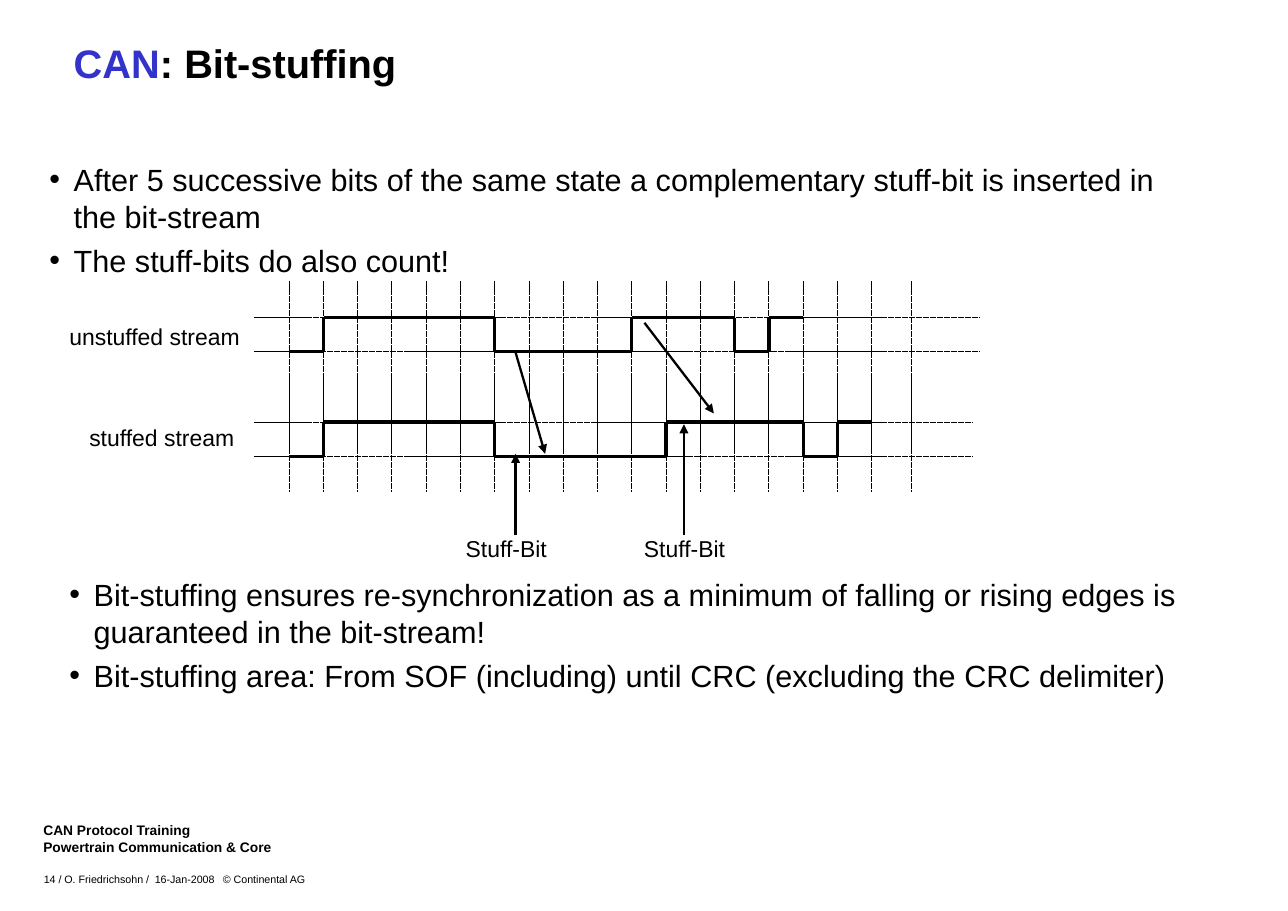
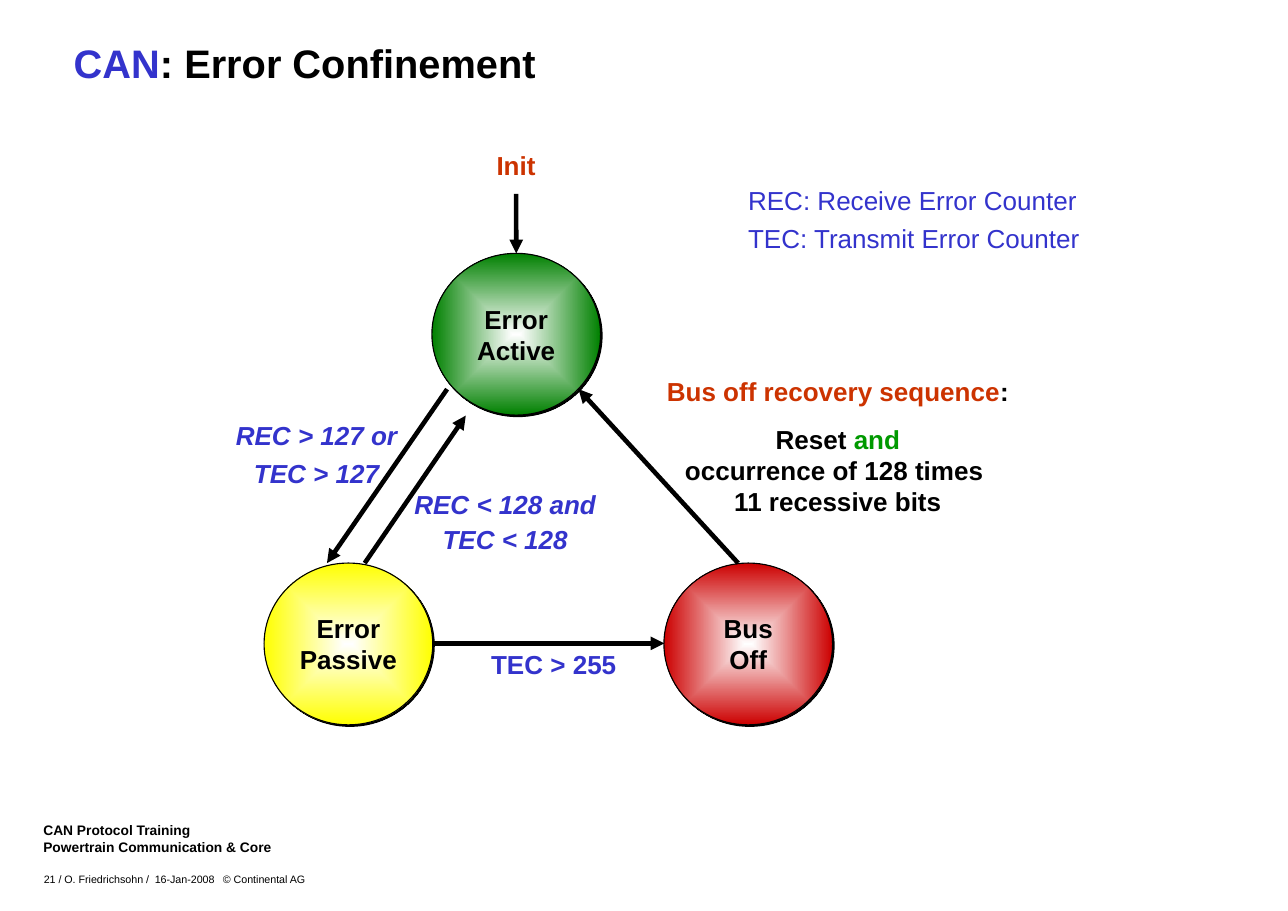
from itertools import groupby

from lxml import etree
from pptx import Presentation
from pptx.dml.color import RGBColor
from pptx.enum.dml import MSO_LINE
from pptx.enum.shapes import MSO_CONNECTOR, MSO_SHAPE
from pptx.enum.text import MSO_ANCHOR, PP_ALIGN
from pptx.oxml import parse_xml
from pptx.oxml.ns import nsdecls, qn
from pptx.util import Cm, Pt

BLACK = RGBColor(0x00, 0x00, 0x00)
BLUE = RGBColor(0x33, 0x33, 0xCC)
ORANGE = RGBColor(0xCC, 0x33, 0x00)
LEAF = RGBColor(0x00, 0x99, 0x00)
GREEN = RGBColor(0x00, 0x80, 0x00)
YELLOW = RGBColor(0xFF, 0xFF, 0x00)
RED = RGBColor(0xCC, 0x00, 0x00)
FONT = "Arial"
LEFT, CENTER = PP_ALIGN.LEFT, PP_ALIGN.CENTER
TOP, MIDDLE, BOTTOM = MSO_ANCHOR.TOP, MSO_ANCHOR.MIDDLE, MSO_ANCHOR.BOTTOM
STRAIGHT, OVAL, DOTS = MSO_CONNECTOR.STRAIGHT, MSO_SHAPE.OVAL, MSO_LINE.ROUND_DOT


def write(slide, at, paras, shape=None, size=17, color=BLACK, bold=False,
          italic=False, align=LEFT, anchor=TOP, pad=0,
          gap=0, lead=None, bullet=False, tabs=()):
    """Write paragraphs, each a string or a list of (text, colour) runs."""
    if shape is None:
        shape = slide.shapes.add_textbox(*[Cm(n) for n in at])
    frame = shape.text_frame
    frame.word_wrap = True
    frame.vertical_anchor = anchor
    frame.margin_left = frame.margin_right = 0
    frame.margin_top = frame.margin_bottom = Cm(pad)
    for i, para in enumerate(paras):
        p = frame.paragraphs[0] if i == 0 else frame.add_paragraph()
        props = p._p.get_or_add_pPr()
        if bullet:
            props.set("marL", str(Cm(0.56)))
            props.set("indent", str(-Cm(0.56)))
            etree.SubElement(props, qn("a:buFont")).set("typeface", FONT)
            etree.SubElement(props, qn("a:buChar")).set("char", "•")
        if tabs:
            stops = etree.SubElement(props, qn("a:tabLst"))
            for stop in tabs:
                etree.SubElement(stops, qn("a:tab"), pos=str(Cm(stop)), algn="l")
        p.alignment = align
        if lead:
            p.line_spacing = lead
        if i and gap:
            p.space_before = Pt(gap)
        for words, tint in [(para, color)] if isinstance(para, str) else para:
            for k, part in enumerate(words.split("\n")):
                if k:
                    p.add_line_break()
                if not part:
                    continue
                run = p.add_run()
                run.text = part
                font = run.font
                font.name, font.size = FONT, Pt(size)
                font.bold, font.italic = bold, italic
                font.color.rgb = tint


def rule(slide, x1, y1, x2, y2, width, dash=None, arrow=False):
    """Draw a straight black line, with an arrowhead at its end if asked."""
    line = slide.shapes.add_connector(STRAIGHT, Cm(x1), Cm(y1), Cm(x2), Cm(y2))
    line.line.color.rgb = BLACK
    if dash:
        line.line.dash_style = dash
    props = line._element.spPr
    stroke = props.find(qn("a:ln"))
    # A hairline needs its zero width written out
    stroke.set("w", str(Pt(width)))
    if arrow:
        etree.SubElement(stroke, qn("a:tailEnd"), type="triangle")
    etree.SubElement(props, qn("a:effectLst"))
    return line


deck = Presentation()
deck.slide_width, deck.slide_height = Cm(29.7), Cm(21)

# Title and footer of each slide
slides = []
for topic, page in [("Bit-stuffing", 14), ("Error Confinement", 21)]:
    slide = deck.slides.add_slide(deck.slide_layouts[6])
    slides.append(slide)
    write(slide, (1.7, 0.78, 26.64, 1.22), [[("CAN", BLUE), (": " + topic, BLACK)]],
          size=26, bold=True, anchor=BOTTOM)
    write(slide, (1, 18.9, 12, 0.81),
          ["CAN Protocol Training", "Powertrain Communication & Core"],
          size=9, bold=True, anchor=BOTTOM)
    write(slide, (1.01, 19.99, 9.4, 0.43),
          [f"{page} / O. Friedrichsohn /\t16-Jan-2008\t© Continental AG"],
          size=7, anchor=BOTTOM, lead=Pt(6), tabs=(2.56, 4.13))
stuff, states = slides

# Bit-stuffing: bullets above and below the diagram
for x, y, points in [
    (1.14, 3.71, ["After 5 successive bits of the same state a complementary "
                  "stuff-bit is inserted in the bit-stream",
                  "The stuff-bits do also count!"]),
    (1.6, 13.27, ["Bit-stuffing ensures re-synchronization as a minimum of falling "
                  "or rising edges is guaranteed in the bit-stream!",
                  "Bit-stuffing area: From SOF (including) until CRC "
                  "(excluding the CRC delimiter)"]),
]:
    write(stuff, (x, y, 26.64, 2.72), points, size=20, gap=5, bullet=True)

# Bit grid
START, STEP, SWING = 6.67, 0.79, 0.79
for x in [START + STEP * n for n in range(18)] + [21.02]:
    rule(stuff, x, 6.5, x, 11.33, 0, DOTS)

# Both streams, one digit for each bit
for bits, high, right, name, at in [
    ("011111000011101", 7.32, 22.58, "unstuffed stream", (1.6, 7.44, 4.2, 0.64)),
    ("01111100000111101", 9.73, 22.43, "stuffed stream", (2.06, 9.77, 3.7, 0.64)),
]:
    for y in (high, high + SWING):
        rule(stuff, 5.87, y, right, y, 0, DOTS)
    x, last = START, None
    for bit, run in groupby(bits):
        y = high if bit == "1" else high + SWING
        if last is not None:
            rule(stuff, x, last, x, y, 2.13)
        end = x + STEP * len(list(run))
        rule(stuff, x, y, end, y, 2.13)
        x, last = end, y
    write(stuff, at, [name], size=15)

# Stuff-bit marks
for x in (10.74, 14.85):
    write(stuff, (x, 12.33, 2.4, 0.64), ["Stuff-Bit"], size=15)
for ends in [(11.89, 8.13, 12.57, 10.46), (14.86, 7.44, 16.46, 9.53),
             (15.77, 12.34, 15.77, 9.78), (11.89, 12.34, 11.89, 10.46)]:
    rule(stuff, *ends, 1.5, arrow=True)

# Error Confinement: states
for name, x, y, tint in [("Error\nPassive", 6.09, 12.98, YELLOW),
                         ("Bus\nOff", 15.31, 12.98, RED),
                         ("Error\nActive", 9.96, 5.84, GREEN)]:
    ball = states.shapes.add_shape(OVAL, Cm(x), Cm(y), Cm(3.89), Cm(3.73))
    ball.line.color.rgb = BLACK
    ball.line.width = Pt(0.75)
    ball.shadow.inherit = False
    props = ball._element.spPr
    props.insert(2, parse_xml(
        f'<a:gradFill {nsdecls("a")} rotWithShape="1"><a:gsLst>'
        '<a:gs pos="0"><a:srgbClr val="FFFFFF"/></a:gs>'
        f'<a:gs pos="100000"><a:srgbClr val="{tint}"/></a:gs></a:gsLst>'
        '<a:path path="rect"><a:fillToRect l="50000" t="50000" r="50000" b="50000"/>'
        '</a:path></a:gradFill>'))
    props.find(qn("a:effectLst")).append(parse_xml(
        f'<a:outerShdw {nsdecls("a")} dist="{Pt(1.4)}" dir="2700000" algn="ctr" '
        'rotWithShape="0"><a:srgbClr val="000000"/></a:outerShdw>'))
    write(states, None, [name], shape=ball, bold=True, align=CENTER,
          anchor=MIDDLE, pad=0.13)

# Transitions; the last state drawn is Error Active
for ends in [(9.96, 14.83, 15.32, 14.83), (10.31, 8.97, 7.54, 12.98),
             (8.41, 12.98, 10.74, 9.58), (17.02, 12.98, 13.34, 8.97)]:
    rule(states, *ends, 3, arrow=True)
init = rule(states, 11.9, 4.47, 11.9, 5.84, 3, arrow=True)
init.end_connect(ball, 0)

# Labels, wide enough to keep each line whole
for at, paras, look in [
    ((4.65, 9.73, 5.3, 1.65), ["REC > 127 or", "TEC > 127"],
     dict(color=BLUE, italic=True, lead=0.7)),
    ((8.9, 11.38, 5.5, 1.52), ["REC < 128 and", "TEC < 128"],
     dict(color=BLUE, italic=True, lead=0.6)),
    ((10.77, 14.81, 4, 0.99), ["TEC > 255"], dict(color=BLUE)),
    ((10.9, 3.31, 2, 0.99), ["Init"], dict(color=ORANGE)),
    ((14.32, 8.53, 10, 3.53),
     [[("Bus off recovery sequence", ORANGE), (":", BLACK)],
      [("Reset ", BLACK), ("and\n", LEAF),
       ("occurrence of 128 times \n11 recessive bits", BLACK)]], {}),
    ((17.25, 4.32, 9, 1.65),
     ["REC: Receive Error Counter", "TEC: Transmit Error Counter"],
     dict(color=BLUE, bold=False, align=LEFT, lead=0.7)),
]:
    style = dict(bold=True, align=CENTER, gap=10.6, pad=0.13)
    write(states, at, paras, **{**style, **look})

deck.save("out.pptx")
